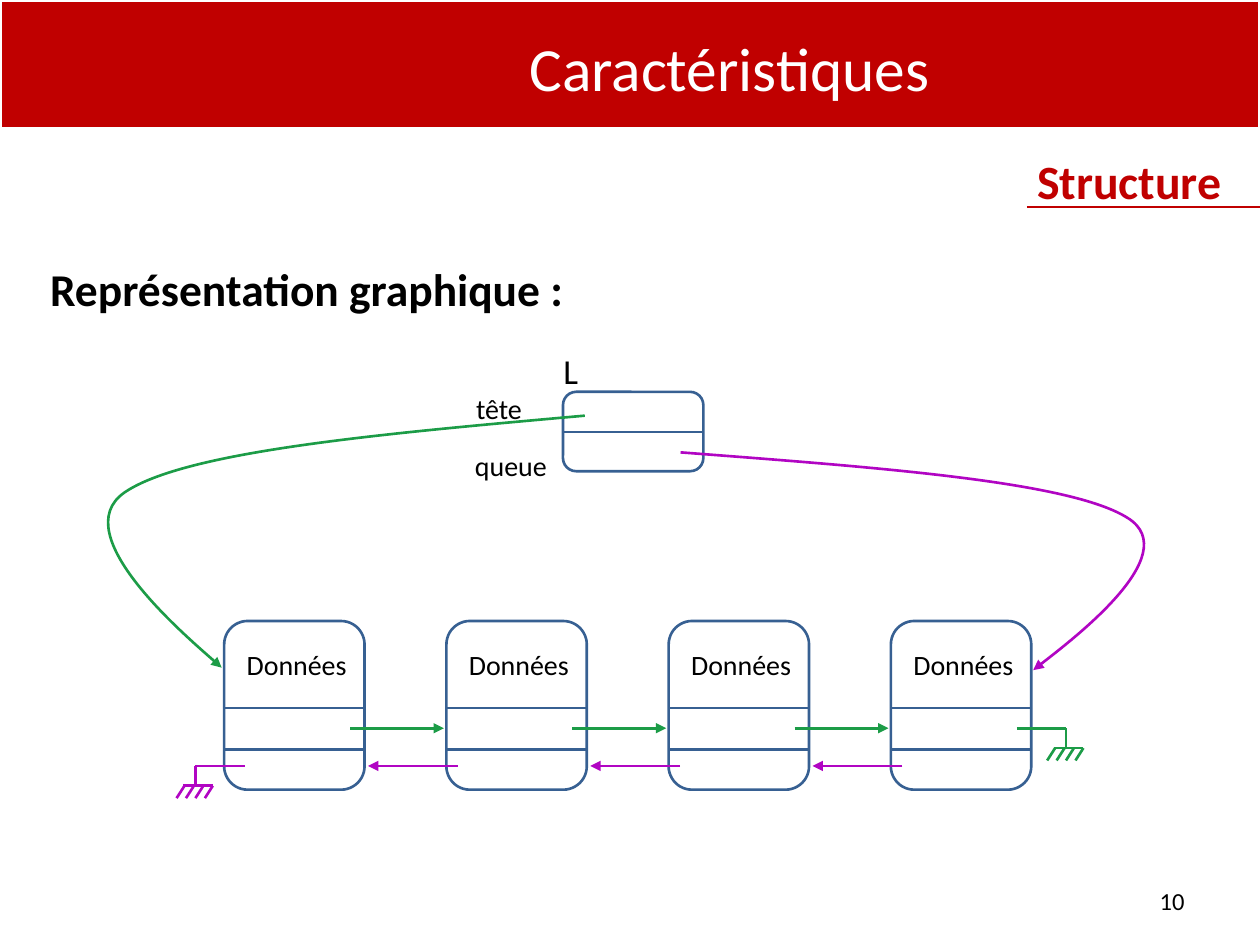
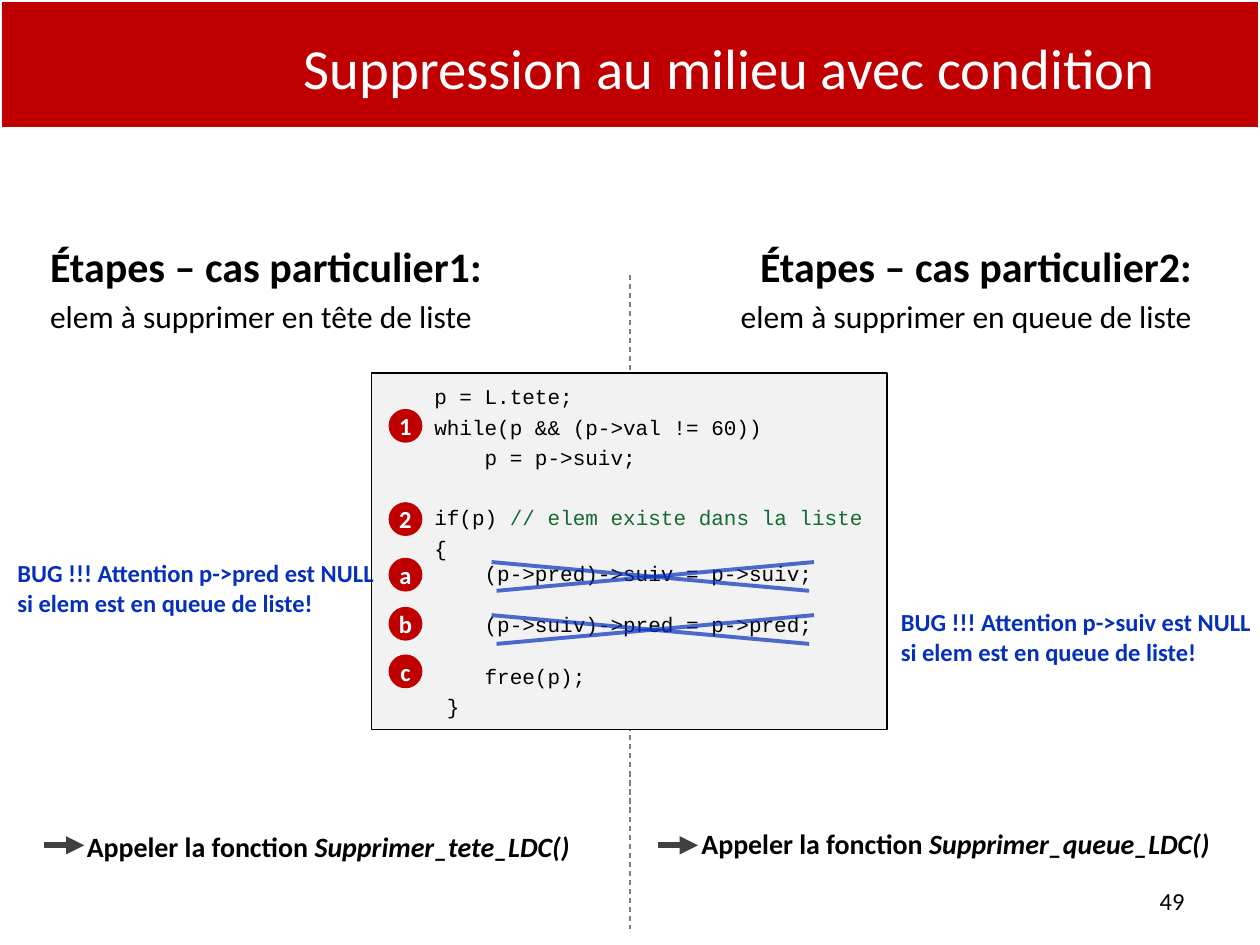
from lxml.etree import SubElement
from pptx import Presentation
from pptx.dml.color import RGBColor
from pptx.enum.dml import MSO_LINE
from pptx.enum.shapes import MSO_CONNECTOR, MSO_SHAPE
from pptx.enum.text import MSO_ANCHOR, MSO_AUTO_SIZE, PP_ALIGN
from pptx.oxml.ns import qn
from pptx.util import Cm, Pt

RED = RGBColor(0xC0, 0x00, 0x00)
WHITE = RGBColor(0xFF, 0xFF, 0xFF)
BLACK = RGBColor(0x00, 0x00, 0x00)
NODE_BLUE = RGBColor(0x37, 0x60, 0x92)
NEXT_GREEN = RGBColor(0x1C, 0x9C, 0x47)
PREVIOUS_PURPLE = RGBColor(0xB1, 0x05, 0xC3)
WARNING_BLUE = RGBColor(0x05, 0x30, 0xBB)
COMMENT_GREEN = RGBColor(0x13, 0x6B, 0x30)
CODE_GREY = RGBColor(0xF2, 0xF2, 0xF2)
DIVIDER_GREY = RGBColor(0x80, 0x80, 0x80)
ARROW_GREY = RGBColor(0x40, 0x40, 0x40)

LEFT, CENTER, RIGHT, JUSTIFY = (
    PP_ALIGN.LEFT, PP_ALIGN.CENTER, PP_ALIGN.RIGHT, PP_ALIGN.JUSTIFY)
WIDTH, HEIGHT = 25.4, 19.05


class Deck:
    """Holds the shared style and the slide being built; lengths are in cm."""

    def __init__(self):
        self.presentation = Presentation()
        self.presentation.slide_width = Cm(WIDTH)
        self.presentation.slide_height = Cm(HEIGHT)
        self.slide = None

    def start_slide(self, title, title_size, number):
        layout = self.presentation.slide_layouts[5]
        self.slide = self.presentation.slides.add_slide(layout)
        band = self.box(MSO_SHAPE.RECTANGLE, (0, 0, WIDTH, 2.59), RED, WHITE, 2)
        self.slide.shapes._spTree.insert(2, band.element)
        placeholder = self.slide.shapes.title
        places = zip(("left", "top", "width", "height"), (5.51, 0.48, 18.39, 1.75))
        for name, value in places:
            setattr(placeholder, name, Cm(value))
        self.fill_text(placeholder, [title], CENTER, MSO_ANCHOR.MIDDLE,
                       size=title_size, color=WHITE)
        self.text((18.21, 17.65, 5.92, 1.02), [str(number)], RIGHT,
                  MSO_ANCHOR.MIDDLE, size=14)

    def fill_text(self, shape, paragraphs, align=LEFT, anchor=MSO_ANCHOR.TOP,
                  gaps=(), hanging=False, **style):
        """Fill a shape; a paragraph is a string or a list of (text, changes) runs."""
        frame = shape.text_frame
        settings = {"word_wrap": True, "auto_size": MSO_AUTO_SIZE.NONE,
                    "vertical_anchor": anchor}
        for name, value in settings.items():
            setattr(frame, name, value)
        for index, runs in enumerate(paragraphs):
            paragraph = frame.add_paragraph() if index else frame.paragraphs[0]
            paragraph.alignment = align
            if index and gaps:
                paragraph.space_before = Pt(gaps[index])
            if hanging:
                properties = paragraph._p.get_or_add_pPr()
                properties.set("marL", str(Cm(1.02)))
                properties.set("indent", str(Cm(-0.97)))
            for content, changes in [(runs, {})] if isinstance(runs, str) else runs:
                run = paragraph.add_run()
                run.text = content
                self.format_font(run.font, {**style, **changes})

    def format_font(self, font, style):
        values = {"name": "Calibri", "color": BLACK, "bold": False, **style}
        font.color.rgb = values.pop("color")
        values["size"] = Pt(values["size"])
        for name, value in values.items():
            setattr(font, name, value)

    def text(self, place, paragraphs, *layout, **style):
        shape = self.slide.shapes.add_textbox(*map(Cm, place))
        self.fill_text(shape, paragraphs, *layout, **style)

    def box(self, kind, place, fill, line, line_width):
        shape = self.slide.shapes.add_shape(kind, *map(Cm, place))
        self.format_outline(shape, fill, line, line_width)
        return shape

    def format_outline(self, shape, fill, line, line_width):
        shape.shadow.inherit = False
        if fill is None:
            shape.fill.background()
        else:
            shape.fill.solid()
            shape.fill.fore_color.rgb = fill
        shape.line.color.rgb = line
        shape.line.width = Pt(line_width)

    def add_arrowhead(self, shape):
        outline = shape.element.spPr.get_or_add_ln()
        SubElement(outline, qn("a:tailEnd"), type="triangle")

    def line(self, start, end, color, width=1.5, arrow=False, dash=None, opacity=None):
        connector = self.slide.shapes.add_connector(
            MSO_CONNECTOR.STRAIGHT, *map(Cm, (*start, *end)))
        connector.line.color.rgb = color
        connector.line.width = Pt(width)
        if dash:
            connector.line.dash_style = dash
        if opacity:
            line_color = connector.element.spPr.find(".//" + qn("a:srgbClr"))
            SubElement(line_color, qn("a:alpha"), val=str(opacity * 1000))
        if arrow:
            self.add_arrowhead(connector)
        SubElement(connector.element.spPr, qn("a:effectLst"))

    def curved_arrow(self, points, color):
        """Draw Bézier curves: a start, then three points for each curve."""
        start, *others = [(Cm(x), Cm(y)) for x, y in points]
        builder = self.slide.shapes.build_freeform(*start)
        builder.add_line_segments(others, close=False)
        shape = builder.convert_to_shape()
        outline = shape.element.find(".//" + qn("a:path"))
        segments = outline.findall(qn("a:lnTo"))
        for first in range(0, len(segments), 3):
            curve = SubElement(outline, qn("a:cubicBezTo"))
            for segment in segments[first:first + 3]:
                curve.append(segment[0])
                outline.remove(segment)
        self.format_outline(shape, None, color, 1.5)
        self.add_arrowhead(shape)

    def cell(self, place, dividers):
        """Draw a rounded record split by horizontal lines."""
        self.box(MSO_SHAPE.ROUNDED_RECTANGLE, place, None, NODE_BLUE, 1.5)
        left, _, width, _ = place
        for y in dividers:
            self.line((left, y), (left + width, y), NODE_BLUE)

    def ground(self, start, stem, y, color):
        """Draw the earth symbol that marks a NULL pointer."""
        bar = y + 0.4
        self.line((start, y), (stem, y), color)
        self.line((stem, y), (stem, bar), color)
        self.line((stem - 0.25, bar), (stem + 0.35, bar), color)
        for index in range(4):
            top = stem - 0.22 + 0.19 * index
            self.line((top, bar), (top - 0.16, bar + 0.25), color)

    def badge(self, label, top):
        shape = self.box(MSO_SHAPE.OVAL, (7.87, top, 0.61, 0.61), RED, RED, 2)
        self.fill_text(shape, [label], CENTER, MSO_ANCHOR.MIDDLE,
                       size=14, color=WHITE, bold=True)
        frame = shape.text_frame
        for side in ("left", "right", "top", "bottom"):
            setattr(frame, "margin_" + side, 0)
        frame.word_wrap = False

    def cross_out(self, top):
        for start, end in ((9.91, 16.31), (16.41, 10.01)):
            self.line((start, top), (end, top + 0.58), WARNING_BLUE, 2.25, opacity=70)


def build_structure(deck):
    deck.start_slide("Caractéristiques", 35.1, 10)
    deck.text((6.48, 2.77, 18.39, 1.75), ["Structure"], RIGHT, MSO_ANCHOR.MIDDLE,
              size=27.3, color=RED, bold=True)
    deck.line((20.7, 4.17), (WIDTH, 4.17), RED)
    deck.text((0.71, 5.13, 23.8, 13), ["Représentation graphique :"], JUSTIFY,
              hanging=True, size=26, bold=True)

    deck.cell((11.35, 7.9, 2.83, 1.6), [8.71])
    for label, place, size in (("tête", (8.61, 7.77, 2.9, 0.94), 16),
                               ("queue", (9.07, 8.92, 2.46, 0.94), 16),
                               ("L", (10.97, 6.93, 1.07, 1.12), 20)):
        deck.text(place, [label], CENTER, size=size)

    next_y, previous_y, step = 14.68, 15.44, 4.48
    nodes = [4.52 + step * index for index in range(4)]
    for left in nodes:
        deck.cell((left, 12.52, 2.83, 3.4), [14.27, 15.11])
        deck.text((left + 0.1, 12.93, 2.72, 0.94), ["Données"], CENTER, size=16)
    for left in nodes[:-1]:
        deck.line((left + 2.54, next_y), (left + 4.43, next_y), NEXT_GREEN, arrow=True)
        deck.line((left + step + 0.23, previous_y), (left + 2.9, previous_y),
                  PREVIOUS_PURPLE, arrow=True)
    deck.ground(nodes[-1] + 2.54, 21.49, next_y, NEXT_GREEN)
    deck.ground(nodes[0] + 0.41, 3.94, previous_y, PREVIOUS_PURPLE)

    deck.curved_arrow([(11.79, 8.38), (7.75, 8.74), (3.73, 9.09), (2.51, 9.93),
                       (1.3, 10.77), (4.47, 13.46), (4.47, 13.46)], NEXT_GREEN)
    deck.curved_arrow([(13.72, 9.12), (17.63, 9.42), (21.56, 9.7), (22.73, 10.44),
                       (23.93, 11.18), (20.83, 13.51), (20.83, 13.51)], PREVIOUS_PURPLE)


def build_deletion(deck):
    deck.start_slide("Suppression au milieu avec condition", 32.4, 49)
    deck.line((12.7, 5.54), (12.7, 18.72), DIVIDER_GREY, 0.75, dash=MSO_LINE.DASH)

    cases = (("1", "tête", 0.71, JUSTIFY), ("2", "queue", 12.29, RIGHT))
    for number, end, left, align in cases:
        deck.text((left, 4.72, 11.99, 13.79),
                  [f"Étapes – cas particulier{number}:",
                   [(f"elem à supprimer en {end} de liste",
                     {"size": 18, "bold": False})]],
                  align, gaps=(0, 3.6), hanging=True, size=24, bold=True)

    code = (("    p = L.tete;", 0),
            ("    while(p && (p->val != 60))", 3),
            ("        p = p->suiv;", 3),
            ([("    if(p) ", {}),
              ("// elem existe dans la liste", {"color": COMMENT_GREEN})], 20),
            ("    {", 3),
            ("        (p->pred)->suiv = p->suiv;", 0),
            ("        (p->suiv)->pred = p->pred;", 15),
            ("        free(p);", 15),
            ("     }", 3))
    lines, gaps = zip(*code)
    listing = deck.box(MSO_SHAPE.RECTANGLE, (7.49, 7.52, 10.39, 7.19),
                       CODE_GREY, BLACK, 0.75)
    deck.fill_text(listing, lines, anchor=MSO_ANCHOR.MIDDLE, gaps=gaps,
                   name="Courier New", size=12)
    for label, top in zip("12abc", (8.28, 10.16, 11.28, 12.27, 13.23)):
        deck.badge(label, top)
    for top in (11.33, 12.4):
        deck.cross_out(top)

    for pointer, left, top in (("suiv", 17.91, 12.12), ("pred", 0.1, 11.13)):
        deck.text((left, top, 8.79, 1.45),
                  [f"BUG !!! Attention p->{pointer} est NULL",
                   "si elem est en queue de liste!"],
                  size=14, color=WARNING_BLUE, bold=True)

    calls = (("Supprimer_tete_LDC()", 1.5, 16.59, 0.89),
             ("Supprimer_queue_LDC()", 13.89, 16.54, 13.26))
    for function, left, top, arrow_left in calls:
        deck.text((left, top, 11.4, 0.94),
                  [[("Appeler la fonction ", {}), (function, {"italic": True})]],
                  size=16, bold=True)
        deck.line((arrow_left, 17.04), (arrow_left + 0.81, 17.04), ARROW_GREY, 3.5,
                  arrow=True)


def main():
    deck = Deck()
    build_structure(deck)
    build_deletion(deck)
    deck.presentation.save("out.pptx")


if __name__ == "__main__":
    main()
